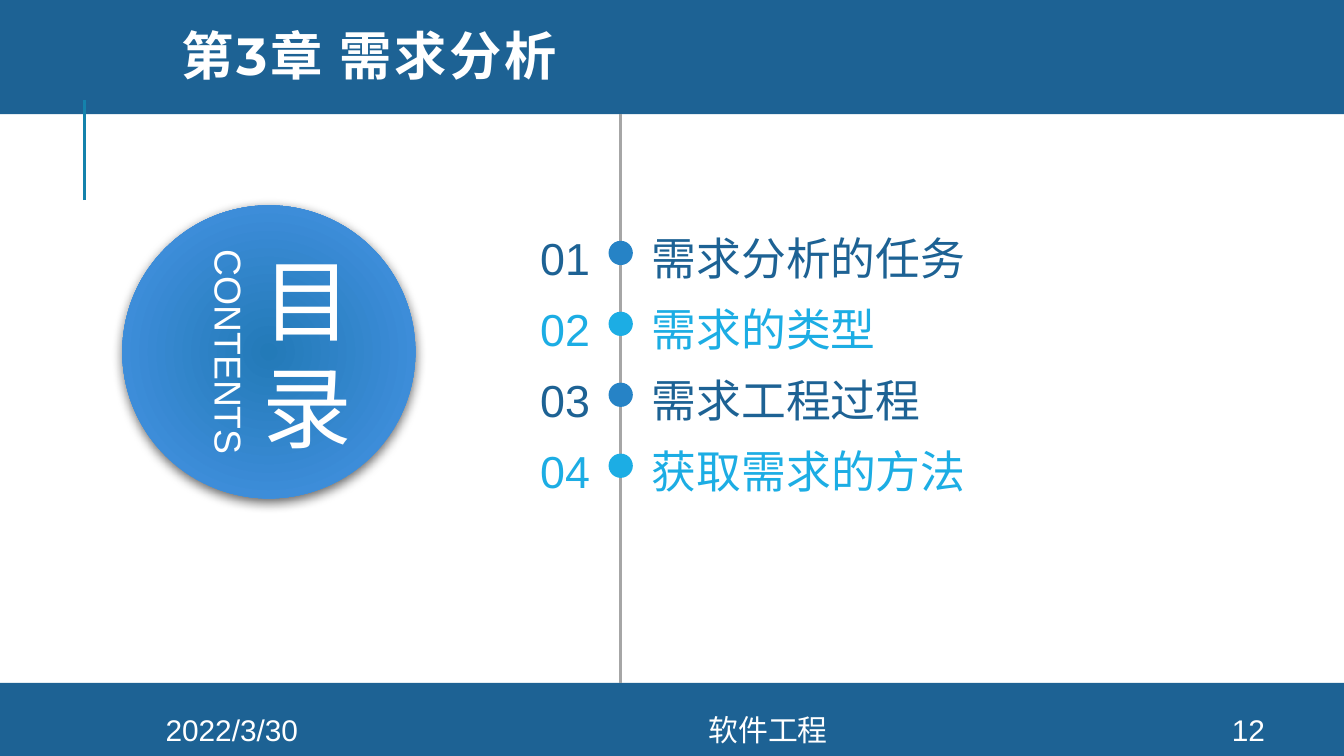
from dataclasses import dataclass

from lxml import etree
from pptx import Presentation
from pptx import util as u
from pptx.dml.color import RGBColor
from pptx.enum import shapes, text
from pptx.oxml import ns

Pt = u.Pt

COLORS = {
    "navy": "1D6294",
    "teal": "1482AC",
    "grey": "A6A6A6",
    "blue": "2683C6",
    "sky": "1CADE4",
    "core": "237AB8",
    "rim": "4895E7",
    "white": "FFFFFF",
    "black": "000000",
}
ALIGN = text.PP_ALIGN
ANCHOR = text.MSO_ANCHOR
AUTO = text.MSO_AUTO_SIZE
NO_INSETS = dict.fromkeys(("margin_left", "margin_top", "margin_right", "margin_bottom"), 0)
ROW_TOP, ROW_PITCH, ROW_HEIGHT = 123.6, 38, 28.8
DOT_SIZE, AXIS_X = 13, 332.5


@dataclass
class Box:
    left: float
    top: float
    width: float
    height: float

    def points(self):
        return [Pt(value) for value in (self.left, self.top, self.width, self.height)]


@dataclass
class Style:
    size: float
    color: str = "white"
    align: ALIGN = ALIGN.CENTER
    font: str = "Arial"
    bold: bool = False
    tracking: float = 0


@dataclass
class Topic:
    label: str
    text_color: str
    dot_color: str
    width: float = 242.6


TOPICS = [
    Topic("需求分析的任务", "navy", "blue"),
    Topic("需求的类型", "sky", "sky"),
    Topic("需求工程过程", "navy", "blue"),
    Topic("获取需求的方法", "sky", "sky", 288.7),
]
FOOTERS = [
    ("2022/3/30", Box(60.5, 382.3, 127.4, 16.6)),
    ("软件工程", Box(187.9, 382.3, 447.1, 16.6)),
    ("12", Box(640, 382.3, 57.6, 16.6)),
]


def rgb(name: str) -> RGBColor:
    return RGBColor.from_string(COLORS[name])


def apply(target, values: dict) -> None:
    for name, value in values.items():
        setattr(target, name, value)


def add_element(parent, tag: str, **attributes):
    return etree.SubElement(parent, ns.qn(tag), attributes)


def write(shape, lines: list[str], style: Style, frame_format: dict) -> None:
    frame = shape.text_frame
    apply(frame, {"word_wrap": True, **frame_format})
    for index, line in enumerate(lines):
        paragraph = frame.add_paragraph() if index else frame.paragraphs[0]
        paragraph.alignment = style.align
        run = paragraph.add_run()
        run.text = line
        apply(run.font, {"name": style.font, "size": Pt(style.size), "bold": style.bold})
        run.font.color.rgb = rgb(style.color)
        if style.tracking:
            run._r.get_or_add_rPr().set("spc", str(round(style.tracking * 100)))


def add_text(slide, lines: list[str], box: Box, style: Style, frame_format: dict):
    shape = slide.shapes.add_textbox(*box.points())
    write(shape, lines, style, frame_format)
    return shape


def add_filled(slide, kind: shapes.MSO_SHAPE, box: Box, color: str):
    shape = slide.shapes.add_shape(kind, *box.points())
    shape.shadow.inherit = False
    shape.fill.solid()
    shape.fill.fore_color.rgb = rgb(color)
    shape.line.fill.background()
    return shape


def add_vertical(slide, x: float, start: float, end: float, color: str) -> None:
    line = slide.shapes.add_connector(
        shapes.MSO_CONNECTOR.STRAIGHT, Pt(x), Pt(start), Pt(x), Pt(end)
    )
    line.line.color.rgb = rgb(color)
    line.line.width = Pt(1.5)
    add_element(line._element.spPr, "a:effectLst")


def add_contents_disc(slide) -> None:
    disc = add_filled(slide, shapes.MSO_SHAPE.OVAL, Box(65.5, 110, 157, 157), "core")
    disc.fill.gradient()
    for stop, color, position in zip(disc.fill.gradient_stops, ("core", "rim"), (0, 1)):
        stop.color.rgb = rgb(color)
        stop.position = position
    properties = disc._element.spPr
    gradient = properties.find(ns.qn("a:gradFill"))
    gradient.remove(gradient.find(ns.qn("a:lin")))
    radial = add_element(gradient, "a:path", path="circle")
    add_element(radial, "a:fillToRect", **dict.fromkeys("ltrb", "100000"))

    shadow = add_element(
        properties.find(ns.qn("a:effectLst")),
        "a:outerShdw",
        blurRad=str(Pt(6)),
        dist=str(Pt(2)),
        dir="5400000",
        algn="t",
        rotWithShape="0",
    )
    tint = add_element(shadow, "a:srgbClr", val=COLORS["black"])
    add_element(tint, "a:alpha", val="60000")

    add_text(slide, ["目", "录"], Box(113.8, 115.9, 101.5, 145.4), Style(48, tracking=6),
             {**NO_INSETS, "vertical_anchor": ANCHOR.MIDDLE})
    caption = add_text(slide, ["CONTENTS"], Box(46.8, 172.8, 151.9, 31.5), Style(20),
                       {"auto_size": AUTO.SHAPE_TO_FIT_TEXT})
    caption.rotation = 90


def add_topic(slide, index: int, topic: Topic) -> None:
    top = ROW_TOP + index * ROW_PITCH
    dot = Box(AXIS_X - DOT_SIZE / 2, top + 5.4, DOT_SIZE, DOT_SIZE)
    add_filled(slide, shapes.MSO_SHAPE.OVAL, dot, topic.dot_color)
    frame_format = {**NO_INSETS, "auto_size": AUTO.SHAPE_TO_FIT_TEXT}
    add_text(slide, [f"{index + 1:02}"], Box(273.6, top, 42.5, ROW_HEIGHT),
             Style(24, topic.text_color, ALIGN.RIGHT), frame_format)
    add_text(slide, [topic.label], Box(349.2, top, topic.width, ROW_HEIGHT),
             Style(24, topic.text_color, ALIGN.LEFT), frame_format)


def add_title(slide) -> None:
    title = slide.shapes.title
    box = Box(90, 6.5, 594.7, 51.8)
    apply(title, dict(zip(("left", "top", "width", "height"), box.points())))
    write(title, ["第3章 需求分析"],
          Style(28, align=ALIGN.LEFT, font="Montserrat", bold=True, tracking=1.5),
          {"vertical_anchor": ANCHOR.MIDDLE, "auto_size": AUTO.NONE})
    title.text_frame.paragraphs[0].line_spacing = 0.8
    slide.shapes._spTree.append(title._element)


def main() -> None:
    presentation = Presentation()
    apply(presentation, {"slide_width": Pt(720), "slide_height": Pt(405)})
    slide = presentation.slides.add_slide(presentation.slide_layouts[5])

    for band in (Box(0, -2, 720, 63.2), Box(0, 365.9, 720, 39.1)):
        add_filled(slide, shapes.MSO_SHAPE.RECTANGLE, band, "navy")
    add_vertical(slide, 45.2, 107.2, 53.5, "teal")
    add_vertical(slide, AXIS_X, 61.2, 365.9, "grey")
    add_contents_disc(slide)
    for label, box in FOOTERS:
        add_text(slide, [label], box, Style(16), {"vertical_anchor": ANCHOR.MIDDLE})
    for index, topic in enumerate(TOPICS):
        add_topic(slide, index, topic)
    add_title(slide)
    presentation.save("out.pptx")


if __name__ == "__main__":
    main()
